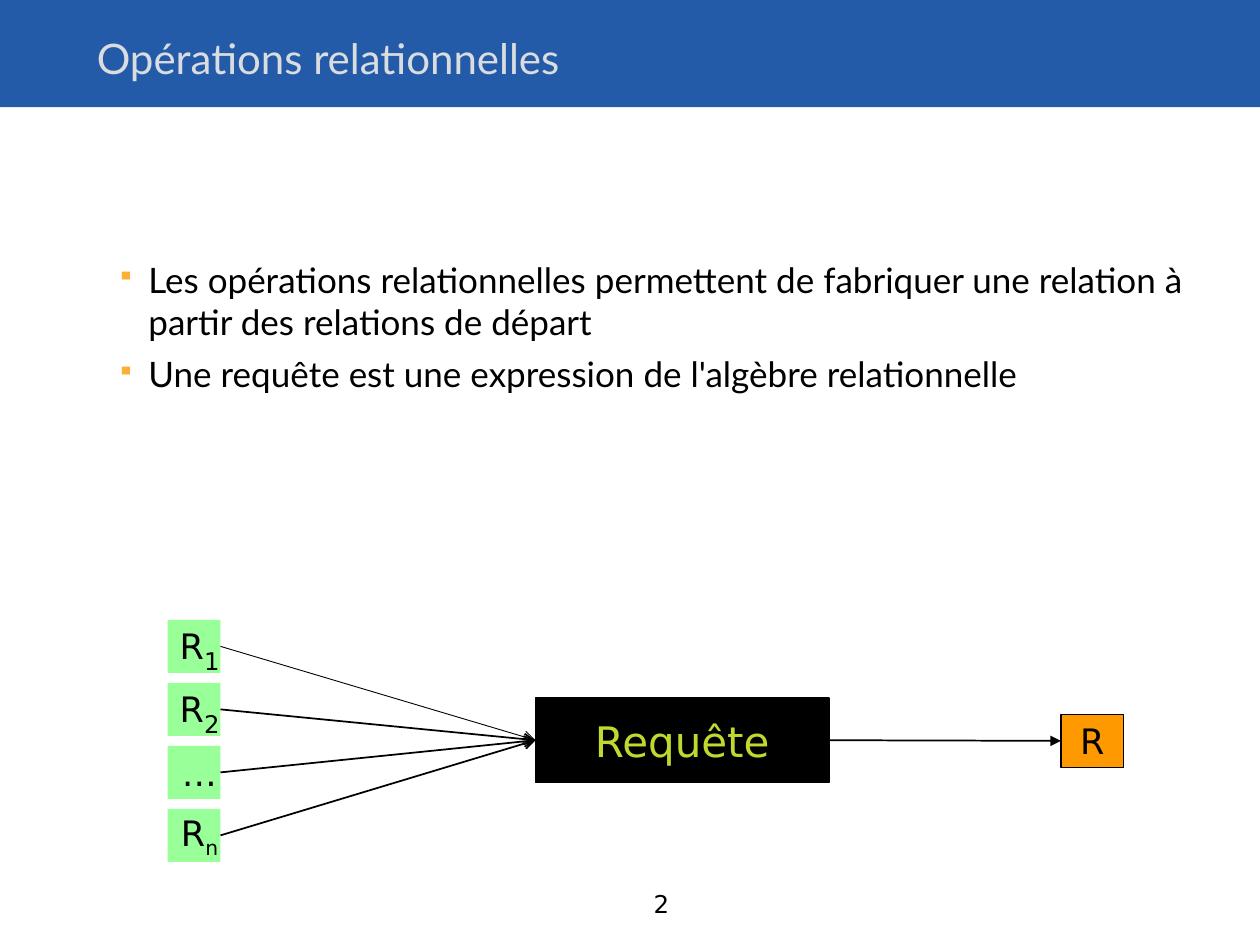
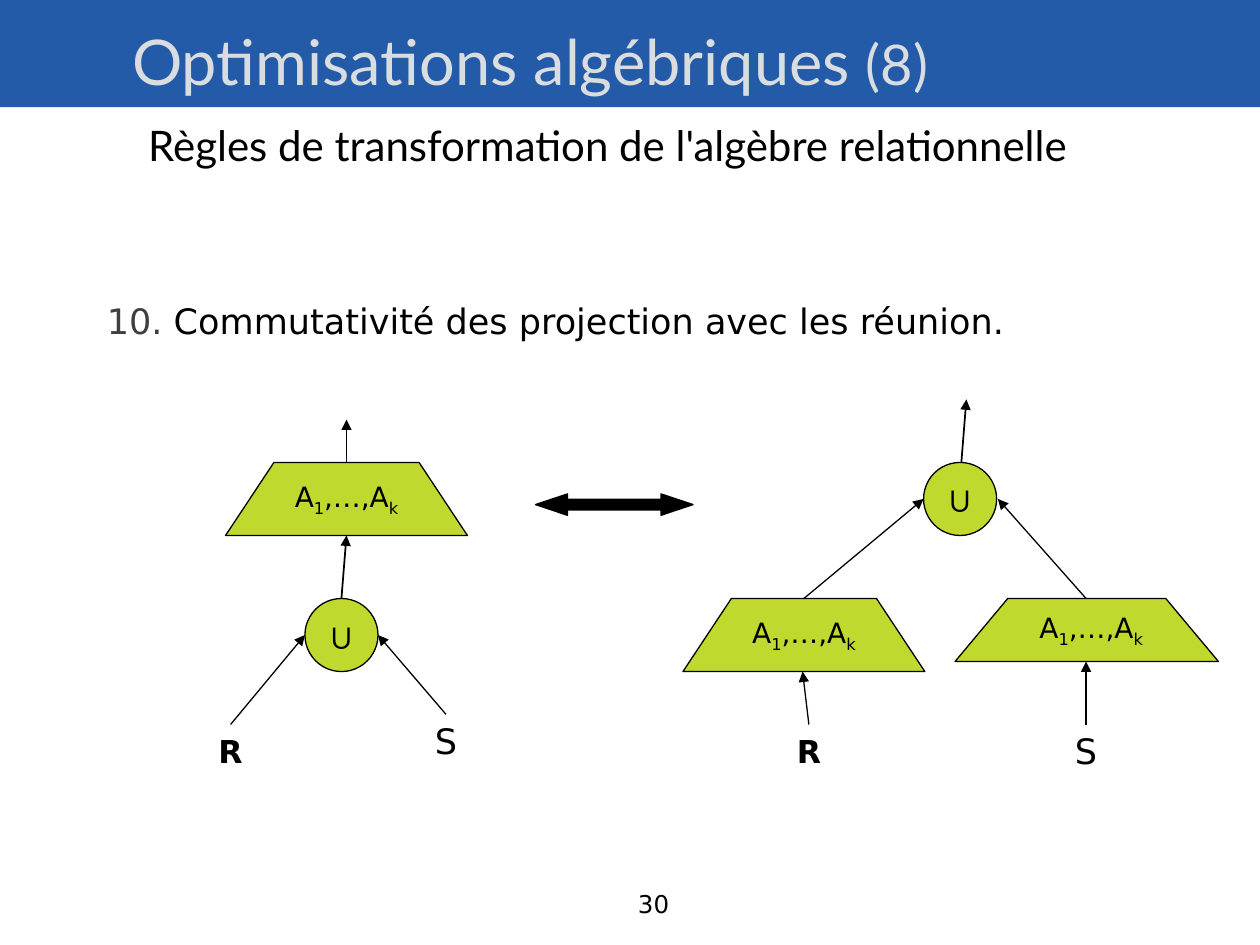
from dataclasses import dataclass

from lxml import etree
from pptx import Presentation
from pptx.dml.color import RGBColor
from pptx.enum import shapes, text
from pptx.oxml import ns
from pptx.util import Inches, Pt

BLACK = RGBColor(0, 0, 0)
BLUE = RGBColor(0x23, 0x5B, 0xA8)
PALE = RGBColor(0xDA, 0xDD, 0xE0)
GREY = RGBColor(0x3F, 0x3F, 0x3F)
LIME = RGBColor(0xC1, 0xD8, 0x2F)
MINT = RGBColor(0x99, 0xFF, 0x99)
AMBER = RGBColor(0xFF, 0x99, 0x00)
GOLD = RGBColor(0xFB, 0xB0, 0x34)
SANS, HEAD = "DejaVu Sans", "Lato"
FORM, ALIGN = shapes.MSO_SHAPE, text.PP_ALIGN
MIDDLE, TOP = text.MSO_ANCHOR.MIDDLE, text.MSO_ANCHOR.TOP
BREAK = None


@dataclass
class Run:
    words: str
    size: float = 20
    color: RGBColor = BLACK
    font: str = SANS
    sub: bool = False
    bold: bool = False


def child(node, tag, **attrs):
    return etree.SubElement(node, ns.qn(tag), attrs)


def hang(par, size):
    """Indent a paragraph, with its first line hanging back to the edge."""
    props = par._p.get_or_add_pPr()
    props.set("marL", str(Inches(size)))
    props.set("indent", str(-Inches(size)))
    return props


class Deck:
    """Shared slide style, and the slide being filled."""

    def __init__(self):
        self.prs = Presentation()
        self.prs.slide_width, self.prs.slide_height = Inches(10), Inches(7.5)
        self.slide = None

    def page(self, number, title, left, top, height):
        self.slide = self.prs.slides.add_slide(self.prs.slide_layouts[6])
        self.shape(FORM.RECTANGLE, (0, 0, 10, 0.85), BLUE, edge=None)
        self.label((left, top, 8.93, height), title, ALIGN.LEFT, wrap=True)
        self.label((4.58, 7.08, 0.83, 0.18), [Run(str(number), 14)],
                   ALIGN.RIGHT, wrap=True)

    def put(self, par, runs):
        for item in runs:
            if item is BREAK:
                par.add_line_break()
                continue
            run = par.add_run()
            run.text = item.words
            font = run.font
            font.size, font.name, font.bold = Pt(item.size), item.font, item.bold
            font.color.rgb = item.color
            if item.sub:
                font._element.set("baseline", "-25000")

    def fill(self, frame, runs, align=ALIGN.CENTER, anchor=MIDDLE, wrap=False):
        frame.word_wrap, frame.vertical_anchor = wrap, anchor
        par = frame.paragraphs[0]
        par.alignment = align
        self.put(par, runs)
        return par

    def label(self, box, runs, align=ALIGN.CENTER, anchor=MIDDLE, wrap=False):
        item = self.slide.shapes.add_textbox(*map(Inches, box))
        return self.fill(item.text_frame, runs, align, anchor, wrap)

    def bullets(self, box, lines):
        frame = self.slide.shapes.add_textbox(*map(Inches, box)).text_frame
        frame.word_wrap = True
        for i, line in enumerate(lines):
            par = frame.add_paragraph() if i else frame.paragraphs[0]
            par.space_before = Pt(6)
            props = hang(par, 0.25)
            child(child(props, "a:buClr"), "a:srgbClr", val=str(GOLD))
            child(props, "a:buSzPct", val="70000")
            child(props, "a:buChar", char="▪")
            self.put(par, [Run(line, font=HEAD)])

    def shape(self, form, box, color, runs=(), edge=BLACK):
        item = self.slide.shapes.add_shape(form, *map(Inches, box))
        item.shadow.inherit = False
        item.fill.solid()
        item.fill.fore_color.rgb = color
        if edge is None:
            item.line.fill.background()
        else:
            item.line.color.rgb = edge
            item.line.width = Pt(0.75)
        self.fill(item.text_frame, runs)
        return item

    def arrow(self, start, end, width=0.75, head="triangle"):
        """Each end is an (x, y) point or a (shape, side) joint."""
        fixed = isinstance(start[0], (int, float))
        spots = (*start, *end) if fixed else (0, 0, 0, 0)
        line = self.slide.shapes.add_connector(
            shapes.MSO_CONNECTOR.STRAIGHT, *map(Inches, spots))
        if not fixed:
            line.begin_connect(*start)
            line.end_connect(*end)
        line.line.color.rgb = BLACK
        line.line.width = Pt(width)
        child(line.line._get_or_add_ln(), "a:tailEnd", type=head)
        child(line._element.spPr, "a:effectLst")

    def project(self, box, lead=""):
        """Projection node: wide at the base, with its text kept upright."""
        runs = [Run(lead + "A", 16), Run("1", 16, sub=True),
                Run(",…,A", 16), Run("k", 16, sub=True)]
        item = self.shape(FORM.FLOWCHART_MANUAL_OPERATION, box, LIME, runs)
        item.rotation = 180
        item.text_frame._txBody.bodyPr.set("rot", "10800000")

    def union(self, left, top):
        self.shape(FORM.OVAL, (left, top, 0.58, 0.58), LIME,
                   [Run("∪", font="Arial", bold=True)])

    def leaf(self, name, mid, top):
        main = name == "R"
        self.label((mid - 0.3, top, 0.6, 0.42),
                   [Run(name, 18 if main else 20, bold=main)])


def query(deck):
    deck.page(2, [Run("Opérations relationnelles", 24, PALE, HEAD)],
              0.67, 0.04, 0.83)
    deck.bullets((0.83, 2, 8.87, 4.58), [
        "Les opérations relationnelles permettent de fabriquer une relation"
        " à partir des relations de départ",
        "Une requête est une expression de l'algèbre relationnelle"])
    center = deck.shape(FORM.RECTANGLE, (4.25, 5.54, 2.33, 0.67), BLACK,
                        [Run("Requête", 24, LIME)])
    inputs = [([Run(" R"), Run("1", 24, sub=True)], 0.5),
              ([Run(" R"), Run("2", 24, sub=True)], 1),
              ([Run(" …")], 1),
              ([Run(" R"), Run("n", sub=True)], 1)]
    for i, (runs, width) in enumerate(inputs):
        box = deck.shape(FORM.RECTANGLE, (1.33, 4.92 + 0.5 * i, 0.42, 0.42),
                         MINT, runs, edge=None)
        deck.arrow((box, 3), (center, 1), width, "arrow")
    result = deck.shape(FORM.RECTANGLE, (8.42, 5.67, 0.5, 0.42), AMBER,
                        [Run("R")])
    deck.arrow((center, 3), (result, 1), 1)


def rule(deck):
    deck.page(30, [
        Run("Optimisations algébriques ", 36, PALE, HEAD),
        Run("(8)", 32, PALE, HEAD), BREAK, Run(" ", 36, PALE, HEAD),
        Run("Règles de transformation de l'algèbre relationnelle", 24,
            font=HEAD)], 0.95, 0.13, 1.3)
    par = deck.label((0.75, 2.33, 8.87, 0.75), [
        Run("10.", color=GREY),
        Run(" Commutativité des projection avec les réunion.")],
        ALIGN.LEFT, TOP, True)
    par.space_before = Pt(5)
    hang(par, 0.67)

    for box, lead in [((1.79, 3.67, 1.92, 0.58), ""),
                      ((5.42, 4.75, 1.92, 0.58), ""),
                      ((7.58, 4.75, 2.09, 0.5), " ")]:
        deck.project(box, lead)
    deck.union(2.42, 4.75)
    deck.union(7.33, 3.67)
    for name, mid, top in [("R", 1.83, 5.75), ("S", 3.54, 5.67),
                           ("R", 6.42, 5.75), ("S", 8.62, 5.75)]:
        deck.leaf(name, mid, top)
    for start, end, width in [
            ((1.83, 5.75), (2.42, 5.04), 0.75),
            ((3.54, 5.67), (3, 5.04), 0.75),
            ((2.71, 4.75), (2.75, 4.25), 1),
            ((2.75, 3.67), (2.75, 3.33), 0.75),
            ((6.42, 5.75), (6.37, 5.33), 0.75),
            ((8.62, 5.75), (8.62, 5.25), 0.75),
            ((6.38, 4.75), (7.33, 3.96), 0.75),
            ((8.62, 4.75), (7.92, 3.96), 0.75),
            ((7.63, 3.67), (7.67, 3.17), 1)]:
        deck.arrow(start, end, width)
    swap = deck.shape(FORM.LEFT_RIGHT_ARROW, (4.25, 3.92, 1.25, 0.17), BLACK)
    swap.adjustments[0], swap.adjustments[1] = 0.5, 1.49


def main():
    deck = Deck()
    query(deck)
    rule(deck)
    deck.prs.save("out.pptx")


if __name__ == "__main__":
    main()
